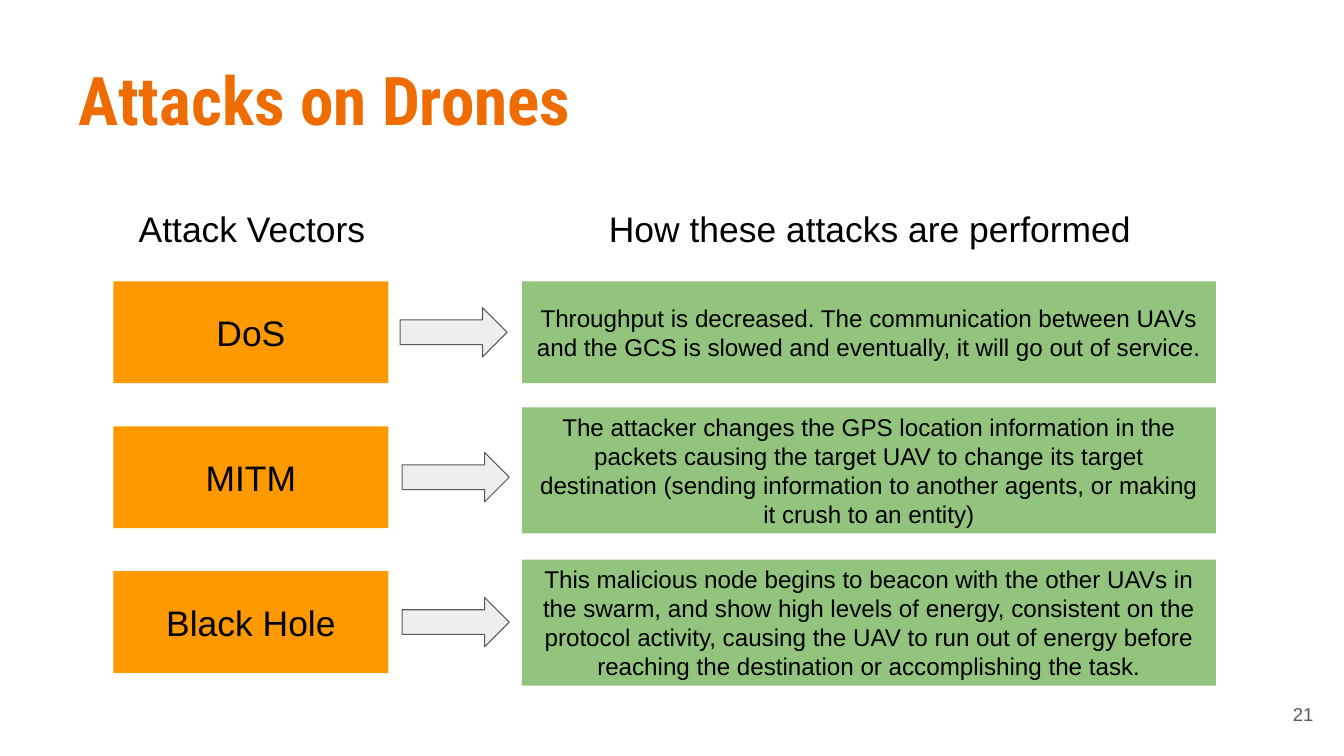
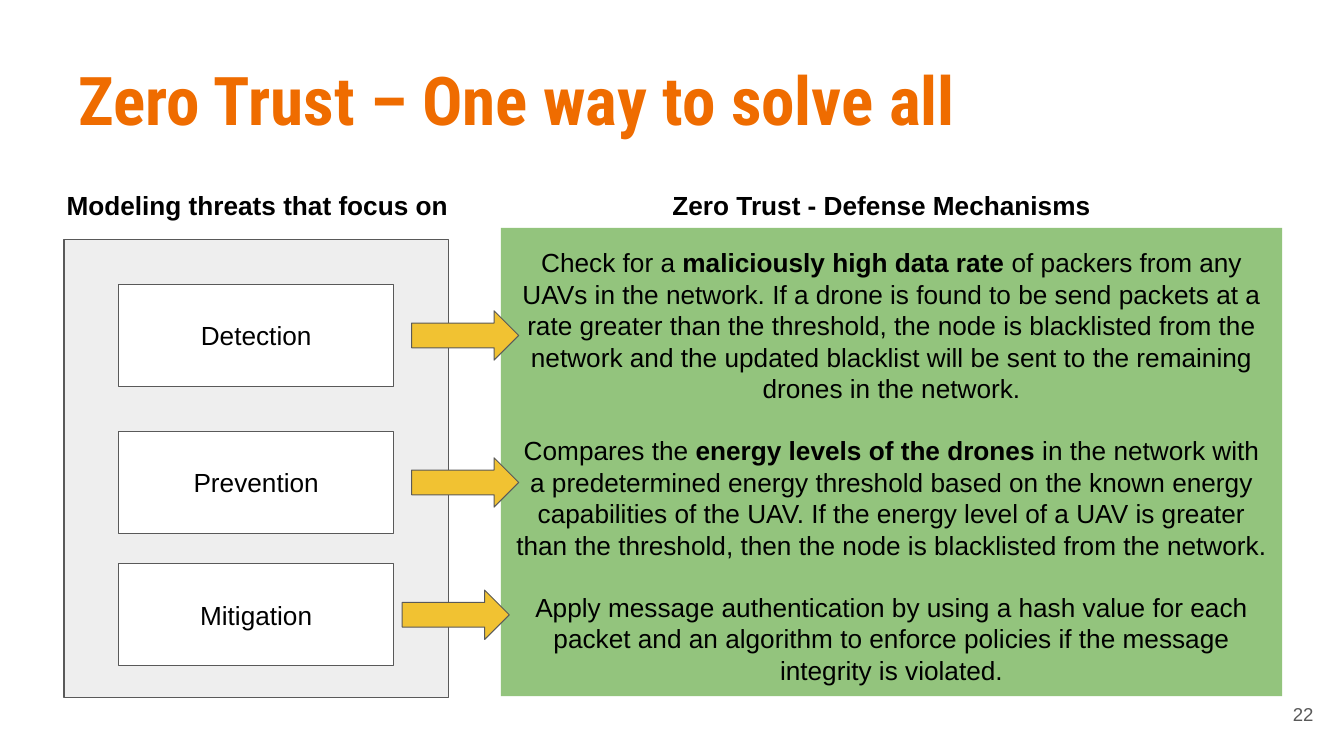
from dataclasses import dataclass

from pptx import Presentation
from pptx.dml.color import RGBColor
from pptx.enum.shapes import MSO_SHAPE as Preset
from pptx.enum.text import MSO_ANCHOR as Anchor, PP_ALIGN as Align
from pptx.util import Emu, Pt

EMU_PER_PX = 9525
SLIDE_WIDTH, SLIDE_HEIGHT = 1280, 720
INSET = 12
BODY_FONT, TITLE_FONT = "Arial", "Roboto Condensed"
TITLE_COLOR, TEXT_COLOR, OUTLINE = "EF6C00", "000000", "595959"
ORANGE, GREEN, GRAY, WHITE, YELLOW = "FF9900", "93C47D", "EEEEEE", "FFFFFF", "F1C232"
LARGE, MEDIUM, SMALL, NUMBER = 25.3, 18.7, 17.3, 13.3
LABEL_WIDTH, LABEL_HEIGHT = 262, 97
ARROW_WIDTH, ARROW_HEIGHT = 102, 47


@dataclass(frozen=True)
class Area:
    left: int
    top: int
    width: int
    height: int


@dataclass(frozen=True)
class Style:
    size: float
    color: str = TEXT_COLOR
    font: str = BODY_FONT
    bold: bool = False
    align: Align = Align.CENTER
    anchor: Anchor = Anchor.MIDDLE


@dataclass(frozen=True)
class Heading:
    text: str
    area: Area


@dataclass(frozen=True)
class Step:
    label: str
    top: int
    arrow_left: int


@dataclass(frozen=True)
class Explanation:
    text: str
    top: int
    height: int


@dataclass(frozen=True)
class Mechanism:
    before: str
    key: str = ""
    after: str = ""


TITLE_AREA = Area(63, 44, 1173, 78)
NUMBER_AREA = Area(1186, 653, 77, 55)
TITLE_STYLE = Style(48, TITLE_COLOR, TITLE_FONT, True, Align.LEFT, Anchor.TOP)
NUMBER_STYLE = Style(NUMBER, OUTLINE, align=Align.RIGHT)

ATTACK_HEADINGS = (
    Heading("Attack Vectors", Area(30, 185, 420, 67)),
    Heading("How these attacks are performed", Area(539, 185, 579, 67)),
)
ATTACKS = (
    Step("DoS", 268, 381),
    Step("MITM", 406, 383),
    Step("Black Hole", 544, 383),
)
EXPLANATIONS = (
    Explanation(
        "Throughput is decreased. The communication between UAVs and the GCS is "
        "slowed and eventually, it will go out of service.", 268, 97),
    Explanation(
        "The attacker changes the GPS location information in the packets causing "
        "the target UAV to change its target destination (sending information to "
        "another agents, or making it crush to an entity)", 388, 120),
    Explanation(
        "This malicious node begins to beacon with the other UAVs in the swarm, and "
        "show high levels of energy, consistent on the protocol activity, causing "
        "the UAV to run out of energy before reaching the destination or "
        "accomplishing the task.", 533, 120),
)

DEFENSE_HEADINGS = (
    Heading("Modeling threats that focus on", Area(36, 168, 418, 56)),
    Heading("Zero Trust - Defense Mechanisms", Area(453, 168, 773, 56)),
)
DEFENSES = (
    Step("Detection", 271, 392),
    Step("Prevention", 411, 392),
    Step("Mitigation", 537, 383),
)
MECHANISMS = (
    Mechanism(
        "Check for a ", "maliciously high data rate",
        " of packers from any UAVs in the network. If a drone is found to be send "
        "packets at a rate greater than the threshold, the node is blacklisted from "
        "the network and the updated blacklist will be sent to the remaining drones "
        "in the network."),
    Mechanism(
        "Compares the ", "energy levels of the drones",
        " in the network with a predetermined energy threshold based on the known "
        "energy capabilities of the UAV. If the energy level of a UAV is greater "
        "than the threshold, then the node is blacklisted from the network."),
    Mechanism(
        "Apply message authentication by using a hash value for each packet and an "
        "algorithm to enforce policies if the message integrity is violated."),
)


def px(length: int) -> Emu:
    return Emu(length * EMU_PER_PX)


def rgb(color: str) -> RGBColor:
    return RGBColor.from_string(color)


def bounds(area: Area) -> tuple[Emu, ...]:
    return px(area.left), px(area.top), px(area.width), px(area.height)


def format_run(run, style: Style, bold: bool) -> None:
    run.font.name = style.font
    run.font.size = Pt(style.size)
    run.font.bold = bold
    run.font.color.rgb = rgb(style.color)


def prepare_frame(frame, style: Style) -> None:
    frame.word_wrap = True
    frame.vertical_anchor = style.anchor
    frame.margin_left = frame.margin_right = px(INSET)
    frame.margin_top = frame.margin_bottom = px(INSET)


def write(frame, text: str, style: Style) -> None:
    prepare_frame(frame, style)
    frame.text = text
    paragraph = frame.paragraphs[0]
    paragraph.alignment = style.align
    format_run(paragraph.runs[0], style, style.bold)


def add_text(slide, area: Area, text: str, style: Style) -> None:
    write(slide.shapes.add_textbox(*bounds(area)).text_frame, text, style)


def add_block(slide, area: Area, fill: str, outline: str = "",
              preset: Preset = Preset.RECTANGLE):
    shape = slide.shapes.add_shape(preset, *bounds(area))
    shape.shadow.inherit = False
    shape.fill.solid()
    shape.fill.fore_color.rgb = rgb(fill)
    if outline:
        shape.line.color.rgb = rgb(outline)
        shape.line.width = Pt(0.75)
    else:
        shape.line.fill.background()
    return shape


def add_steps(slide, steps: tuple[Step, ...], left: int, fill: str, outline: str,
              size: float) -> None:
    for step in steps:
        area = Area(left, step.top, LABEL_WIDTH, LABEL_HEIGHT)
        write(add_block(slide, area, fill, outline).text_frame, step.label, Style(size))


def add_arrows(slide, steps: tuple[Step, ...], fill: str) -> None:
    for step in steps:
        top = step.top + (LABEL_HEIGHT - ARROW_HEIGHT) // 2
        area = Area(step.arrow_left, top, ARROW_WIDTH, ARROW_HEIGHT)
        add_block(slide, area, fill, OUTLINE, Preset.RIGHT_ARROW)


def add_headings(slide, headings: tuple[Heading, ...], style: Style) -> None:
    for heading in headings:
        add_text(slide, heading.area, heading.text, style)


def add_mechanisms(slide, area: Area) -> None:
    style = Style(MEDIUM)
    frame = add_block(slide, area, GREEN).text_frame
    prepare_frame(frame, style)
    frame.margin_top, frame.margin_bottom = px(16), px(8)
    for index, mechanism in enumerate(MECHANISMS):
        paragraph = frame.add_paragraph() if index else frame.paragraphs[0]
        paragraph.alignment = style.align
        if index:
            paragraph.space_before = Pt(22)
        for text in (mechanism.before, mechanism.key, mechanism.after):
            if text:
                run = paragraph.add_run()
                run.text = text
                format_run(run, style, text == mechanism.key)


def add_slide(presentation, title: str, number: int):
    slide = presentation.slides.add_slide(presentation.slide_layouts[6])
    add_text(slide, TITLE_AREA, title, TITLE_STYLE)
    add_text(slide, NUMBER_AREA, str(number), NUMBER_STYLE)
    return slide


def add_attacks_slide(presentation) -> None:
    slide = add_slide(presentation, "Attacks on Drones", 21)
    add_headings(slide, ATTACK_HEADINGS, Style(LARGE, anchor=Anchor.TOP))
    add_steps(slide, ATTACKS, 108, ORANGE, "", LARGE)
    for explanation in EXPLANATIONS:
        area = Area(497, explanation.top, 661, explanation.height)
        write(add_block(slide, area, GREEN).text_frame, explanation.text, Style(SMALL))
    add_arrows(slide, ATTACKS, GRAY)


def add_defense_slide(presentation) -> None:
    slide = add_slide(presentation, "Zero Trust – One way to solve all", 22)
    add_block(slide, Area(61, 228, 366, 436), GRAY, OUTLINE)
    add_steps(slide, DEFENSES, 113, WHITE, OUTLINE, MEDIUM)
    add_mechanisms(slide, Area(477, 217, 744, 446))
    add_headings(slide, DEFENSE_HEADINGS, Style(MEDIUM, bold=True, anchor=Anchor.TOP))
    add_arrows(slide, DEFENSES, YELLOW)


def main() -> None:
    presentation = Presentation()
    presentation.slide_width = px(SLIDE_WIDTH)
    presentation.slide_height = px(SLIDE_HEIGHT)
    add_attacks_slide(presentation)
    add_defense_slide(presentation)
    presentation.save("out.pptx")


if __name__ == "__main__":
    main()
